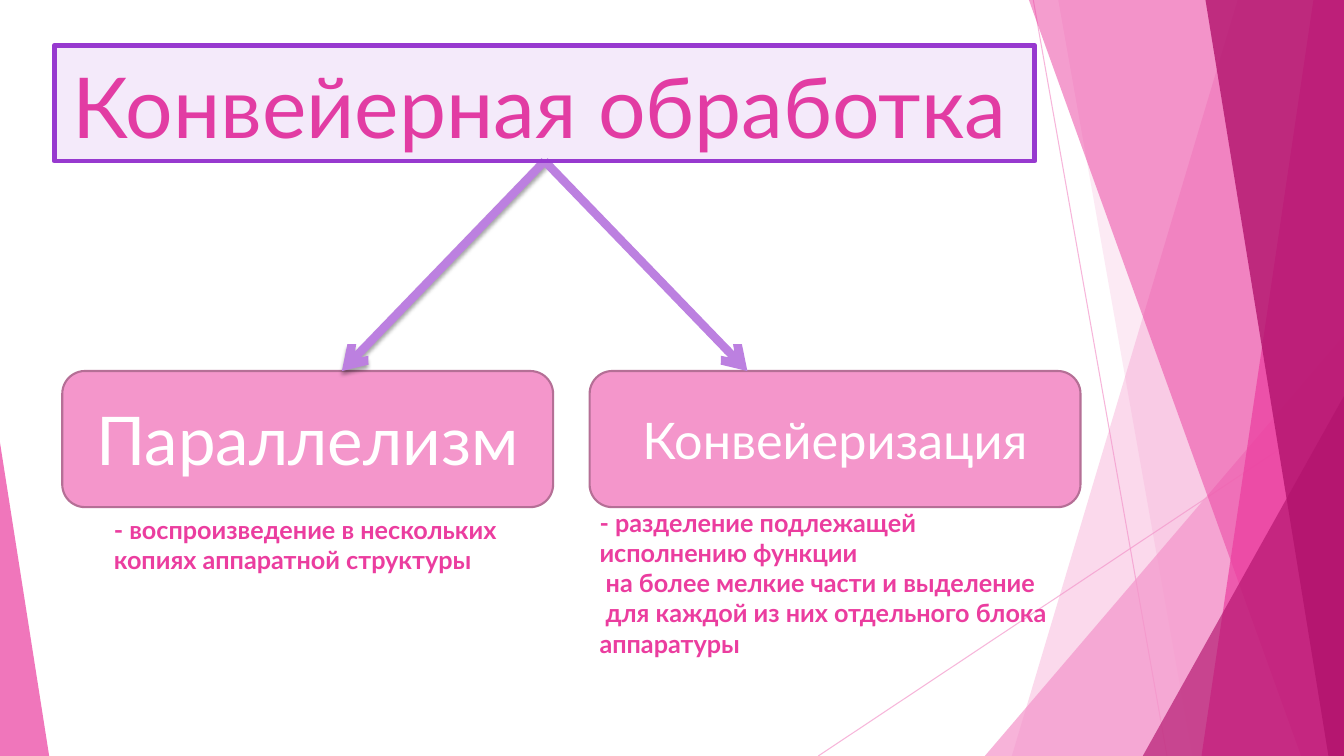
import dataclasses

import lxml.etree
import pptx
import pptx.dml.color
import pptx.enum.shapes
import pptx.enum.text
import pptx.oxml.ns
import pptx.util

Cm = pptx.util.Cm
Pt = pptx.util.Pt
SHAPE = pptx.enum.shapes.MSO_SHAPE
ALIGN = pptx.enum.text.PP_ALIGN
ANCHOR = pptx.enum.text.MSO_ANCHOR
FONT = "Lato"
PINK, ROSE, WINE, VIOLET, LILAC = "F496CB", "EB3D9F", "B2136D", "9739CF", "BC80E0"


@dataclasses.dataclass
class Box:
    """A rectangle measured in centimetres."""
    left: float
    top: float
    width: float
    height: float

    @property
    def right(self):
        """Return the right edge."""
        return self.left + self.width

    @property
    def bottom(self):
        """Return the bottom edge."""
        return self.top + self.height

    def lengths(self):
        """Return the four measures as slide lengths."""
        return [Cm(value) for value in (self.left, self.top, self.width, self.height)]


def child(parent, tag, **attributes):
    """Append a drawing element to a parent element."""
    element = lxml.etree.SubElement(parent, pptx.oxml.ns.qn(tag))
    for name, value in attributes.items():
        element.set(name, str(value))
    return element


def paint(fill, colour, opacity=100):
    """Give a fill a solid colour with an opacity in percent."""
    fill.solid()
    fill.fore_color.rgb = pptx.dml.color.RGBColor.from_string(colour)
    if opacity < 100:
        tone = fill._xPr.find(".//" + pptx.oxml.ns.qn("a:srgbClr"))
        child(tone, "a:alpha", val=opacity * 1000)


def finish(shape, colour, opacity=100, outline=None, weight=0):
    """Set the fill and outline of a shape and remove its shadow."""
    shape.shadow.inherit = False
    paint(shape.fill, colour, opacity)
    if outline:
        paint(shape.line.fill, outline)
        shape.line.width = Pt(weight)
    else:
        shape.line.fill.background()


def write(frame, lines, size, colour, bold=False, align=ALIGN.LEFT, anchor=ANCHOR.TOP):
    """Fill a text frame with one paragraph for each line."""
    frame.word_wrap = True
    frame.auto_size = pptx.enum.text.MSO_AUTO_SIZE.NONE
    frame.vertical_anchor = anchor
    for index, line in enumerate(lines):
        para = frame.add_paragraph() if index else frame.paragraphs[0]
        para.alignment = align
        span = para.add_run()
        span.text = line
        span.font.name = FONT
        span.font.size = Pt(size)
        span.font.bold = bold
        paint(span.font.fill, colour)


def add_line(page, start, end, colour, weight, opacity=100):
    """Draw a straight line and return it with its effect list."""
    line = page.shapes.add_connector(
        pptx.enum.shapes.MSO_CONNECTOR.STRAIGHT, *(Cm(value) for value in start + end))
    paint(line.line.fill, colour, opacity)
    line.line.width = Pt(weight)
    return line, child(line.element.spPr, "a:effectLst")


def add_band(page, box, top_left, bottom_left, colour, opacity):
    """Draw a slanted band that reaches the right edge of the box."""
    builder = page.shapes.build_freeform(Cm(box.left + top_left), Cm(box.top))
    corners = [(box.right, box.top), (box.right, box.bottom), (box.left + bottom_left, box.bottom)]
    builder.add_line_segments([(Cm(x), Cm(y)) for x, y in corners], close=True)
    finish(builder.convert_to_shape(), colour, opacity)


def add_wedge(page, box, apex, colour, opacity):
    """Draw a triangle with its apex at a share of the box width."""
    wedge = page.shapes.add_shape(SHAPE.ISOSCELES_TRIANGLE, *box.lengths())
    wedge.adjustments[0] = apex
    finish(wedge, colour, opacity)


def add_decoration(page, box):
    """Draw the facets along the sides of the box."""
    add_line(page, (box.left + 26.04, box.top), (box.left + 29.41, box.bottom), PINK, 0.75, 70)
    add_line(page, (box.right, box.top + 10.24), (box.left + 20.62, box.bottom), PINK, 0.75, 70)
    add_band(page, box, 31.19, 25.5, PINK, 36)
    add_band(page, box, 26.67, 30.05, PINK, 20)
    add_wedge(page, Box(box.right - 9.05, box.bottom - 10.59, 9.05, 10.59), 1, PINK, 72)
    add_band(page, box, 25.93, 32.79, ROSE, 50)
    add_band(page, box, 33.1, 30.28, ROSE, 70)
    add_band(page, box, 30.38, 33.48, WINE, 80)
    add_wedge(page, Box(box.right - 5.07, box.bottom - 9.07, 5.07, 9.07), 1, WINE, 66)
    add_wedge(page, Box(box.left, box.bottom - 7.9, 1.24, 7.9), 0, ROSE, 70)


def add_heading(page, box, text):
    """Place the title inside a tinted frame and return the frame."""
    title = page.shapes.title
    title.left, title.top, title.width, title.height = Box(
        box.left + 0.2, box.top + 0.36, box.width - 0.4, box.height - 0.38).lengths()
    write(title.text_frame, [text], 60, ROSE, anchor=ANCHOR.BOTTOM)
    frame = page.shapes.add_shape(SHAPE.RECTANGLE, *box.lengths())
    finish(frame, VIOLET, 10, VIOLET, 3.5)
    return frame


def add_branch(page, box, name, size):
    """Draw a rounded box that names one branch."""
    branch = page.shapes.add_shape(SHAPE.ROUNDED_RECTANGLE, *box.lengths())
    finish(branch, PINK, outline="B56F96", weight=1.5)
    write(branch.text_frame, [name], size, "FFFFFF", align=ALIGN.CENTER, anchor=ANCHOR.MIDDLE)


def add_caption(page, box, lines):
    """Write the explanation of a branch."""
    caption = page.shapes.add_textbox(*box.lengths())
    write(caption.text_frame, lines, 18, ROSE, bold=True)


def add_arrows(page, box, frame):
    """Draw two arrows from the top middle of the box to its lower corners."""
    start = (box.left + box.width / 2, box.top)
    for end_x, shaded in ((box.left, True), (box.right, False)):
        arrow, effects = add_line(page, start, (end_x, box.bottom), LILAC, 6)
        child(arrow.line._get_or_add_ln(), "a:tailEnd", type="arrow")
        arrow.begin_connect(frame, 2)
        if shaded:
            shadow = child(effects, "a:outerShdw", blurRad=Pt(3), dist=Pt(2), dir=5400000, rotWithShape=0)
            child(child(shadow, "a:srgbClr", val="000000"), "a:alpha", val=35000)
    page.shapes.element.append(frame.element)


def main():
    """Build and save the slide."""
    deck = pptx.Presentation()
    deck.slide_width, deck.slide_height = Cm(33.87), Cm(19.05)
    page = deck.slides.add_slide(deck.slide_layouts[5])
    add_decoration(page, Box(0, 0, 33.87, 19.05))
    heading = Box(1.37, 1.14, 24.71, 2.92)
    frame = add_heading(page, heading, "Конвейерная обработка")
    parallel = Box(1.57, 9.35, 12.37, 3.43)
    pipeline = Box(14.86, 9.35, 12.37, 3.43)
    add_branch(page, parallel, "Параллелизм", 48)
    add_branch(page, pipeline, "Конвейеризация", 36)
    middle = heading.left + heading.width / 2
    add_arrows(page, Box(middle - 5.11, heading.bottom, 10.22, parallel.top - heading.bottom), frame)
    add_caption(page, Box(parallel.left + 1.05, parallel.bottom + 0.05, 10.74, 1.8),
                ["- воспроизведение в нескольких копиях аппаратной структуры"])
    add_caption(page, Box(pipeline.left, pipeline.bottom - 0.13, 12.17, 4.11),
                ["- разделение подлежащей исполнению функции",
                 " на более мелкие части и выделение",
                 " для каждой из них отдельного блока аппаратуры"])
    deck.save("out.pptx")


if __name__ == "__main__":
    main()
